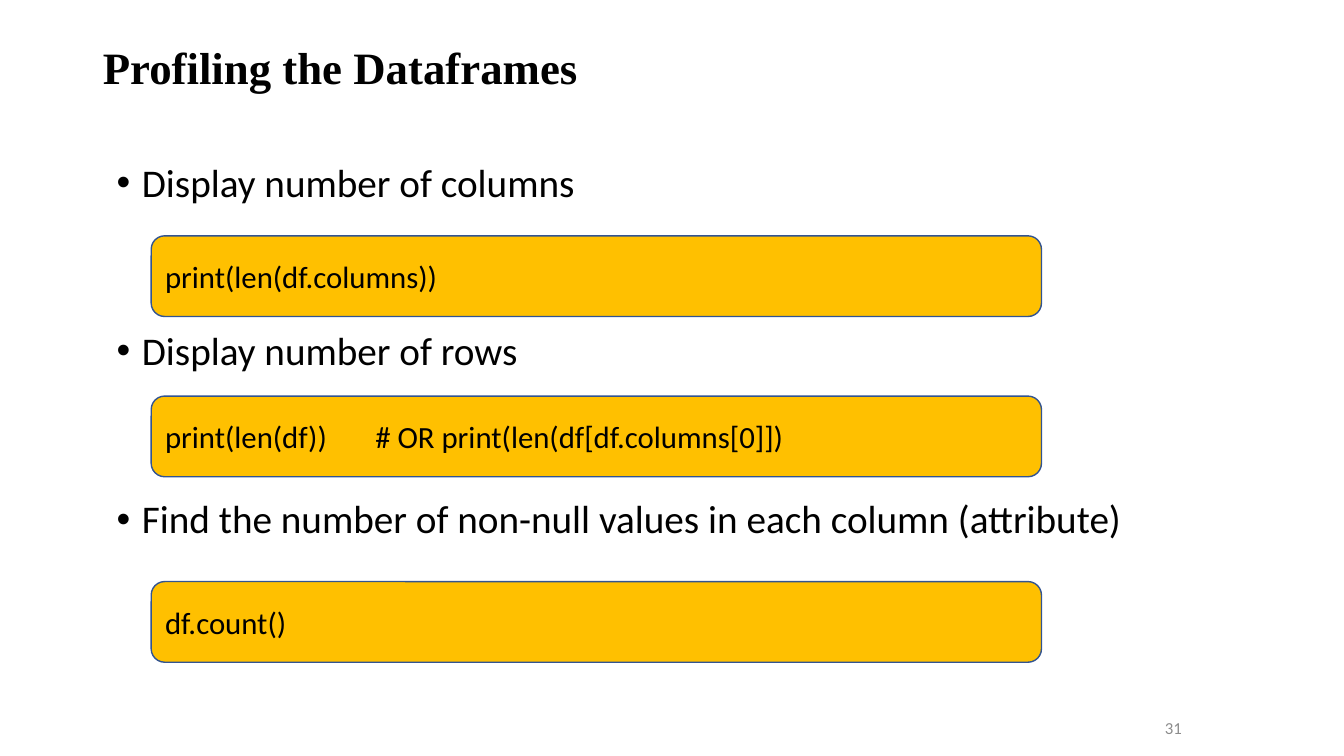
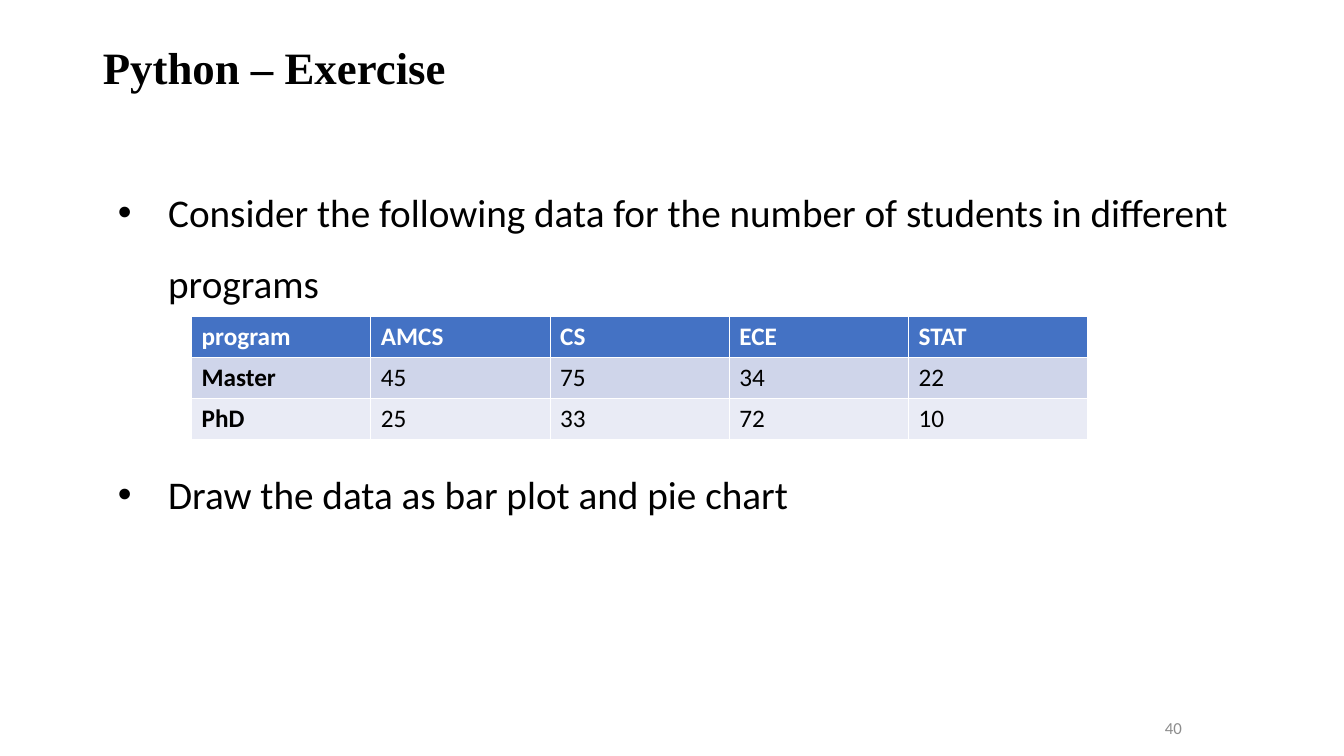
from lxml import etree
from pptx import Presentation
from pptx.dml.color import RGBColor
from pptx.enum.shapes import MSO_SHAPE
from pptx.enum.text import MSO_ANCHOR, MSO_AUTO_SIZE, PP_ALIGN
from pptx.oxml.ns import qn
from pptx.util import Inches, Pt

ROUND = MSO_SHAPE.ROUNDED_RECTANGLE
TOP, MIDDLE = MSO_ANCHOR.TOP, MSO_ANCHOR.MIDDLE
LEFT, RIGHT = PP_ALIGN.LEFT, PP_ALIGN.RIGHT
BLACK = RGBColor(0x00, 0x00, 0x00)
WHITE = RGBColor(0xFF, 0xFF, 0xFF)
GRAY = RGBColor(0x8C, 0x8C, 0x8C)
AMBER = RGBColor(0xFF, 0xC0, 0x00)
NAVY = RGBColor(0x32, 0x54, 0x91)
BLUE = RGBColor(0x44, 0x72, 0xC4)
PALE = RGBColor(0xCF, 0xD5, 0xEA)
MIST = RGBColor(0xE9, 0xEB, 0xF5)
BODY, HEAD = "Calibri", "Times New Roman"


def style(para, size, color=BLACK, bold=False, face=BODY, align=LEFT):
    para.alignment = align
    for run in para.runs:
        font = run.font
        font.name, font.size, font.bold = face, Pt(size), bold
        font.color.rgb = color


def add_page(name, width, number, area, items, indent, spacing, gap):
    slide = deck.slides.add_slide(deck.slide_layouts[5])
    title = slide.shapes.title
    title.left, title.top = Inches(0.92), Inches(0.4)
    title.width, title.height = Inches(width), Inches(1)
    frame = title.text_frame
    frame.text = name
    frame.vertical_anchor = TOP
    frame.auto_size = MSO_AUTO_SIZE.NONE
    frame.paragraphs[0].line_spacing = 0.9
    style(frame.paragraphs[0], 32, bold=True, face=HEAD)

    frame = slide.shapes.add_textbox(*map(Inches, area)).text_frame
    frame.word_wrap = True
    frame.text = "\n".join(items)
    for i, para in enumerate(frame.paragraphs):
        props = para._p.get_or_add_pPr()
        props.set("marL", str(Inches(indent)))
        props.set("indent", str(-Inches(indent)))
        etree.SubElement(props, qn("a:buFont")).set("typeface", "Arial")
        etree.SubElement(props, qn("a:buChar")).set("char", "•")
        para.line_spacing = spacing
        if i:
            para.space_before = Pt(gap)
        style(para, 28)

    foot = slide.shapes.add_textbox(Inches(8.82), Inches(7.02), Inches(3), Inches(0.4))
    frame = foot.text_frame
    frame.word_wrap = True
    frame.vertical_anchor = MIDDLE
    frame.text = number
    style(frame.paragraphs[0], 12, GRAY, align=RIGHT)
    return slide


deck = Presentation()
deck.slide_width, deck.slide_height = Inches(13.33), Inches(7.5)

tasks = [
    "Display number of columns",
    "Display number of rows",
    "Find the number of non-null values in each column (attribute)",
]
slide = add_page("Profiling the Dataframes", 10.36, "31",
                 (1.06, 1.57, 10.36, 5.48), tasks, 0.25, 0.9, 90)
codes = [
    (2.34, "print(len(df.columns))"),
    (3.93, "print(len(df))       # OR print(len(df[df.columns[0]])"),
    (5.77, "df.count()"),
]
for top, code in codes:
    box = slide.shapes.add_shape(ROUND, Inches(1.5), Inches(top), Inches(8.83), Inches(0.8))
    box.shadow.inherit = False
    box.fill.solid()
    box.fill.fore_color.rgb = AMBER
    box.line.color.rgb = NAVY
    box.line.width = Pt(1)
    box.text_frame.text = code
    box.text_frame.vertical_anchor = MIDDLE
    style(box.text_frame.paragraphs[0], 22)

tasks = [
    "Consider the following data for the number of students in different programs",
    "Draw the data as bar plot and pie chart",
]
slide = add_page("Python – Exercise", 11.5, "40",
                 (1.07, 1.59, 11.84, 4.19), tasks, 0.5, 1.5, 100)
rows = [
    ("program", "AMCS", "CS", "ECE", "STAT"),
    ("Master", "45", "75", "34", "22"),
    ("PhD", "25", "33", "72", "10"),
]
fills = [BLUE, PALE, MIST]
table = slide.shapes.add_table(len(rows), len(rows[0]), Inches(1.9), Inches(3.14),
                               Inches(8.89), Inches(1.22)).table
table.first_col = True
for r, row in enumerate(rows):
    for c, text in enumerate(row):
        cell = table.cell(r, c)
        cell.fill.solid()
        cell.fill.fore_color.rgb = fills[r]
        cell.text_frame.text = text
        style(cell.text_frame.paragraphs[0], 18, BLACK if r else WHITE, r == 0 or c == 0)

deck.save("out.pptx")
